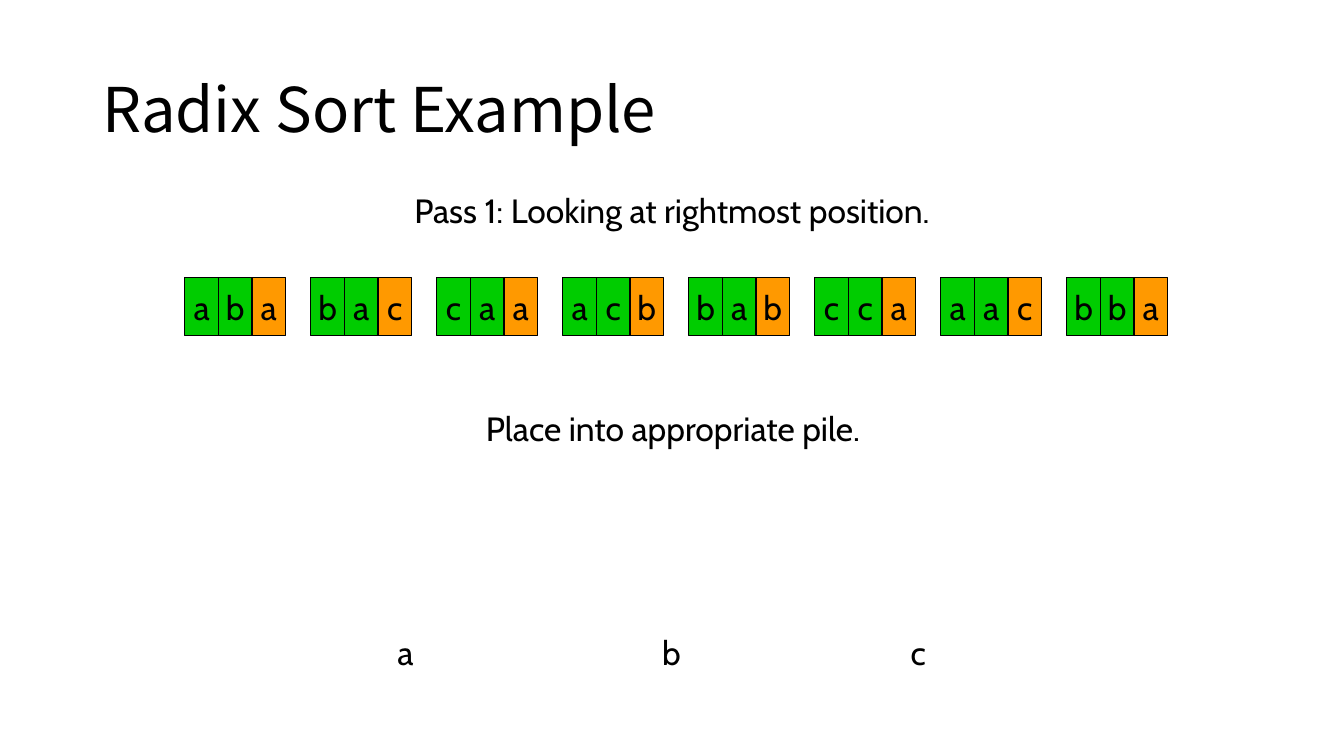
"""Build the first-pass slide of a radix sort example."""
from pptx import Presentation
from pptx.dml.color import RGBColor
from pptx.enum import shapes, text
from pptx import util as u

BLACK = RGBColor(0, 0, 0)
GREEN = RGBColor(0x00, 0xCC, 0x00)
ORANGE = RGBColor(0xFF, 0x99, 0x00)

WORDS = ["aba", "bac", "caa", "acb", "bab", "cca", "aac", "bba"]
PILES = [("a", 368, 36), ("b", 621, 37), ("c", 857, 35)]
ACTIVE_POSITION = 2


def px(count):
    """Turn pixels at 96 to the inch into EMU."""
    return u.Emu(count * 9525)


def write(frame, content, size=24, font="Cabin", color=BLACK, wrap=False,
          align=text.PP_ALIGN.CENTER, anchor=text.MSO_ANCHOR.TOP, spacing=None):
    """Put one formatted paragraph into a text frame."""
    frame.word_wrap = wrap
    frame.vertical_anchor = anchor
    para = frame.paragraphs[0]
    para.alignment = align
    para.line_spacing = spacing
    span = para.add_run()
    span.text = content
    span.font.size = u.Pt(size)
    span.font.name = font
    span.font.color.rgb = color


class SortSlide:
    """Hold the sizes of the letter cells and the page they are drawn on."""

    cell_width, cell_height = 32, 56
    word_pitch = 120

    def __init__(self, page):
        self.page = page

    def title(self, content):
        """Add the slide heading."""
        box = self.page.shapes.add_textbox(px(88), px(38), px(1104), px(139))
        write(box.text_frame, content, size=44, font="Noto Sans CJK KR", wrap=True,
              align=text.PP_ALIGN.LEFT, anchor=text.MSO_ANCHOR.MIDDLE, spacing=0.9)

    def label(self, content, left, top, width):
        """Add a centred line of text."""
        box = self.page.shapes.add_textbox(px(left), px(top), px(width), px(48))
        write(box.text_frame, content)
        box.text_frame.auto_size = text.MSO_AUTO_SIZE.SHAPE_TO_FIT_TEXT

    def cell(self, group, letter, left, top, color):
        """Add one letter cell to a word group."""
        box = group.shapes.add_shape(shapes.MSO_SHAPE.RECTANGLE, px(left), px(top),
                                     px(self.cell_width), px(self.cell_height))
        box.shadow.inherit = False
        box.fill.solid()
        box.fill.fore_color.rgb = color
        box.line.color.rgb = BLACK
        box.line.width = u.Pt(0.75)
        write(box.text_frame, letter, anchor=text.MSO_ANCHOR.MIDDLE)

    def word(self, letters, left, top):
        """Add a word as a group of cells, marking the position being sorted."""
        group = self.page.shapes.add_group_shape()
        for position, letter in enumerate(letters):
            color = ORANGE if position == ACTIVE_POSITION else GREEN
            self.cell(group, letter, left + position * self.cell_width, top, color)

    def words(self, items, left, top):
        """Add a row of evenly spaced words."""
        for index, letters in enumerate(items):
            self.word(letters, left + index * self.word_pitch, top)


def main():
    """Build and save the deck."""
    deck = Presentation()
    deck.slide_width, deck.slide_height = px(1280), px(720)
    slide = SortSlide(deck.slides.add_slide(deck.slide_layouts[6]))
    slide.title("Radix Sort Example")
    slide.label("Pass 1: Looking at rightmost position.", 364, 176, 552)
    slide.words(WORDS, 176, 264)
    slide.label("Place into appropriate pile.", 443, 384, 396)
    for letter, left, width in PILES:
        slide.label(letter, left, 597, width)
    deck.save("out.pptx")


if __name__ == "__main__":
    main()
